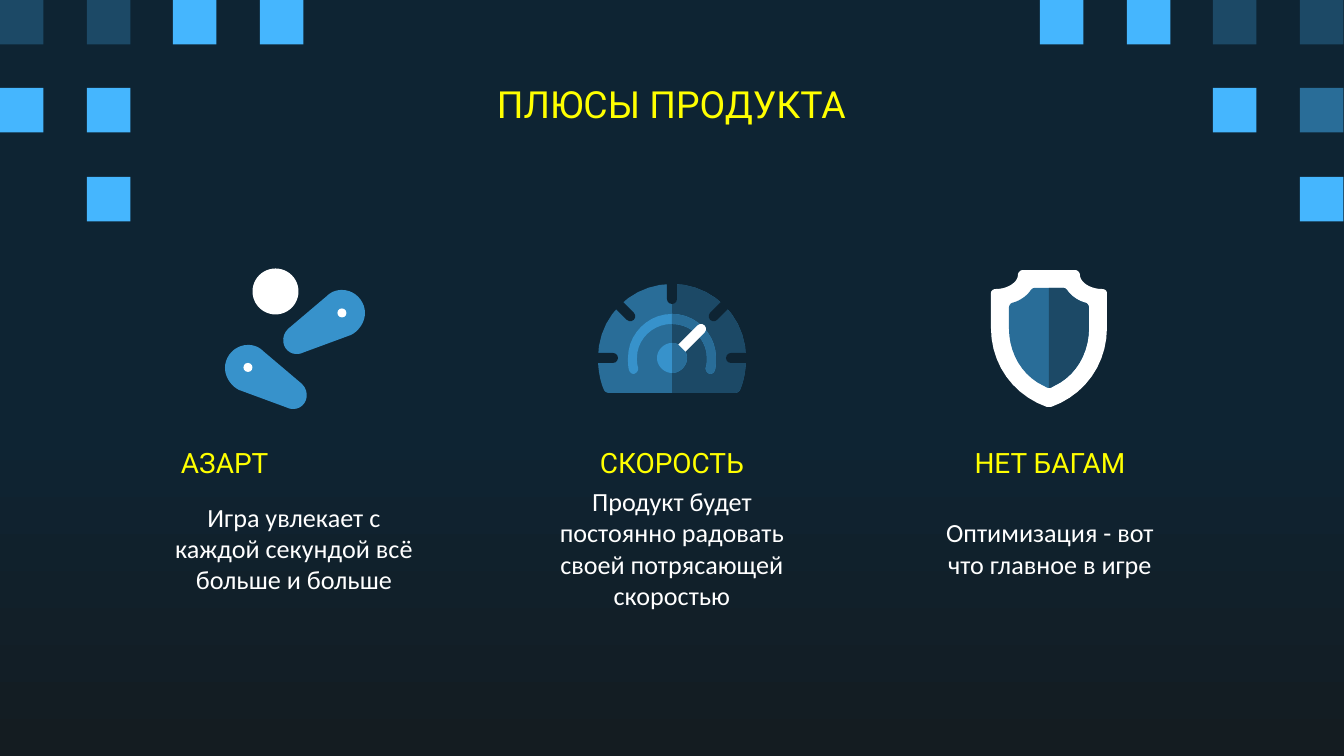
from dataclasses import dataclass
from math import cos, radians, sin

from pptx import Presentation
from pptx.dml.color import RGBColor
from pptx.enum.shapes import MSO_SHAPE
from pptx.enum.text import MSO_ANCHOR, MSO_AUTO_SIZE, PP_ALIGN
from pptx.util import Emu, Pt

PX = 914400 / 134.4
TITLE_ONLY = 5
RECTANGLE, OVAL = MSO_SHAPE.RECTANGLE, MSO_SHAPE.OVAL
ROUND_ENDED = MSO_SHAPE.ROUND_2_SAME_RECTANGLE
LEFT, CENTER = PP_ALIGN.LEFT, PP_ALIGN.CENTER
MIDDLE, NO_AUTOFIT = MSO_ANCHOR.MIDDLE, MSO_AUTO_SIZE.NONE


@dataclass(frozen=True)
class Theme:
    night: str = "0E2433"
    ground: str = "141C21"
    navy: str = "1C4966"
    steel: str = "296D98"
    blue: str = "3792CB"
    sky: str = "45B6FE"
    white: str = "FFFFFF"
    yellow: str = "FFFF00"
    heading_font: str = "Roboto"
    body_font: str = "Calibri"
    title_size: int = 20
    heading_size: int = 15
    body_size: int = 14


theme = Theme()


def paint(shape, color):
    shape.shadow.inherit = False
    shape.fill.solid()
    shape.fill.fore_color.rgb = RGBColor.from_string(color)
    shape.line.fill.background()
    return shape


def write(text, box, *, size, color=theme.yellow, font=theme.heading_font,
          align=CENTER, inset=13, indent=0, holder=None):
    """Put text in holder, or in a new text box, at box (left, top, width, height in px)."""
    holder = holder or slide.shapes.add_textbox(0, 0, 0, 0)
    holder.left, holder.top, holder.width, holder.height = (Emu(round(n * PX)) for n in box)
    frame = holder.text_frame
    frame.word_wrap, frame.auto_size, frame.vertical_anchor = True, NO_AUTOFIT, MIDDLE
    frame.margin_top = frame.margin_right = frame.margin_bottom = Emu(round(inset * PX))
    frame.margin_left = Emu(round((inset + indent) * PX))
    paragraph = frame.paragraphs[0]
    paragraph.alignment = align
    run = paragraph.add_run()
    run.text = text
    run.font.name, run.font.size = font, Pt(size)
    run.font.color.rgb = RGBColor.from_string(color)


prs = Presentation()
prs.slide_width, prs.slide_height = Emu(round(1344 * PX)), Emu(round(756 * PX))
slide = prs.slides.add_slide(prs.slide_layouts[TITLE_ONLY])

backdrop = slide.background.fill
backdrop.gradient()
backdrop.gradient_angle = 270
for stop, position, color in zip(backdrop.gradient_stops, (0.56, 1), (theme.night, theme.ground)):
    stop.position = position
    stop.color.rgb = RGBColor.from_string(color)

# Corner squares: column, row, colour on a 16-column grid
corner_squares = [
    (0, 0, theme.navy), (1, 0, theme.navy), (2, 0, theme.sky), (3, 0, theme.sky),
    (12, 0, theme.sky), (13, 0, theme.sky), (14, 0, theme.navy), (15, 0, theme.navy),
    (0, 1, theme.sky), (1, 1, theme.sky), (14, 1, theme.sky), (15, 1, theme.steel),
    (1, 2, theme.sky), (15, 2, theme.sky),
]
for column, row, color in corner_squares:
    left, top = round(column * 86.67), round(row * 88.5)
    paint(slide.shapes.add_shape(RECTANGLE, *(round(n * PX) for n in (left, top, 43.5, 44.5))), color)

write("ПЛЮСЫ ПРОДУКТА", (105, 79, 1133, 49), size=theme.title_size, holder=slide.shapes.title)

# Text columns: heading, heading alignment and indent, body, body width
columns = [
    ("АЗАРТ", LEFT, 14, "Игра увлекает с каждой секундой всё больше и больше", 293),
    ("СКОРОСТЬ", CENTER, 0, "Продукт будет постоянно радовать своей потрясающей скоростью", 280),
    ("НЕТ БАГАМ", CENTER, 0, "Оптимизация - вот что главное в игре", 280),
]
for number, (heading, align, indent, body, body_width) in enumerate(columns):
    middle = 294 + number * 378
    write(heading, (middle - 140, 434, 280, 56), size=theme.heading_size, align=align, indent=indent)
    write(body, (middle - body_width / 2, 489, body_width, 118), size=theme.body_size,
          color=theme.white, font=theme.body_font, inset=27)

# Paths: a start point, then lines (x, y) and cubic curves (x1, y1, x2, y2, x, y)
flipper = [(0, -23), (-6, -23, -11, -21, -15, -17), (-54, 16), (-64, 26, -57, 41, -46, 41),
           (-44, 41, -42, 41, -40, 40), (9, 22), (17, 18, 23, 9, 23, 0), (23, -12, 13, -23, 0, -23)]
dial = [(0, -74), (41, -74, 74, -41, 74, 0), (74, 11, 72, 23, 68, 32),
        (67, 34, 65, 35, 63, 35), (0, 35)]
arc = [(0, -44), (24, -44, 44, -24, 44, 0), (44, 4, 44, 8, 43, 12), (42, 15, 40, 16, 38, 16),
       (35, 15, 33, 12, 34, 9), (35, 6, 35, 3, 35, 0), (35, -19, 19, -34, 0, -34)]
hub = [(0, -15), (8, -15, 15, -8, 15, 0), (15, 8, 8, 15, 0, 15)]
shield = [(0, 0), (26, 0), (29, 0, 31, 3, 31, 5), (31, 12, 41, 19, 53, 19),
          (56, 19, 58, 21, 58, 23), (58, 58), (58, 94, 36, 125, 2, 137), (0, 137)]
shield_core = [(0, 18), (14, 18), (16, 18, 17, 19, 18, 20), (22, 26, 29, 31, 37, 33),
               (39, 34, 40, 36, 40, 38), (40, 58), (40, 83, 27, 106, 5, 116), (3, 117, 2, 118, 0, 118)]

RIGHT, MIRRORED, BOTH = (1,), (-1,), (1, -1)
gauge_center, shield_top = (672, 358), (1049, 270)
outlines = [
    (flipper, RIGHT, (342, 313), theme.blue),
    (flipper, MIRRORED, (248, 368), theme.blue),
    (dial, BOTH, gauge_center, theme.steel),
    (dial, RIGHT, gauge_center, theme.navy),
    (arc, BOTH, gauge_center, theme.blue),
    (arc, RIGHT, gauge_center, theme.steel),
    (hub, BOTH, gauge_center, theme.blue),
    (hub, RIGHT, gauge_center, theme.steel),
    (shield, BOTH, shield_top, theme.white),
    (shield_core, BOTH, shield_top, theme.steel),
    (shield_core, RIGHT, shield_top, theme.navy),
]
STEPS = 10
for path, sides, (center_x, center_y), color in outlines:
    points = [path[0]]
    for segment in path[1:]:
        if len(segment) == 2:
            points.append(segment)
            continue
        x0, y0 = points[-1]
        x1, y1, x2, y2, x3, y3 = segment
        for step in range(1, STEPS + 1):
            t = step / STEPS
            a, b, c, d = (1 - t) ** 3, 3 * t * (1 - t) ** 2, 3 * t * t * (1 - t), t ** 3
            points.append((a * x0 + b * x1 + c * x2 + d * x3, a * y0 + b * y1 + c * y2 + d * y3))
    contour = [((center_x + side * x) * PX, (center_y + y) * PX)
               for side in sides for x, y in points[::side]]
    builder = slide.shapes.build_freeform(*contour[0])
    builder.add_line_segments(contour[1:], close=True)
    paint(builder.convert_to_shape(), color)

# Pinball and flipper pivots: centre and radius
for x, y, radius in [(275.5, 291.5, 23), (342, 313, 4.5), (248, 367.5, 4.5)]:
    disc = (x - radius, y - radius, 2 * radius, 2 * radius)
    paint(slide.shapes.add_shape(OVAL, *(round(n * PX) for n in disc)), theme.white)

# Gauge ticks and needle: angle from the top, inner and outer radius, turn, colour
gauge_marks = [(angle, 54, 75, 180, theme.night) for angle in (-90, -45, 0, 45, 90)]
gauge_marks.append((45, 14, 46, 0, theme.white))
for angle, inner, outer, turn, color in gauge_marks:
    reach, length = (inner + outer) / 2, outer - inner
    x = gauge_center[0] + reach * sin(radians(angle))
    y = gauge_center[1] - reach * cos(radians(angle))
    bar = (x - 5, y - length / 2, 10, length)
    mark = paint(slide.shapes.add_shape(ROUND_ENDED, *(round(n * PX) for n in bar)), color)
    mark.adjustments[0] = 0.5
    mark.rotation = angle + turn

prs.save("out.pptx")
